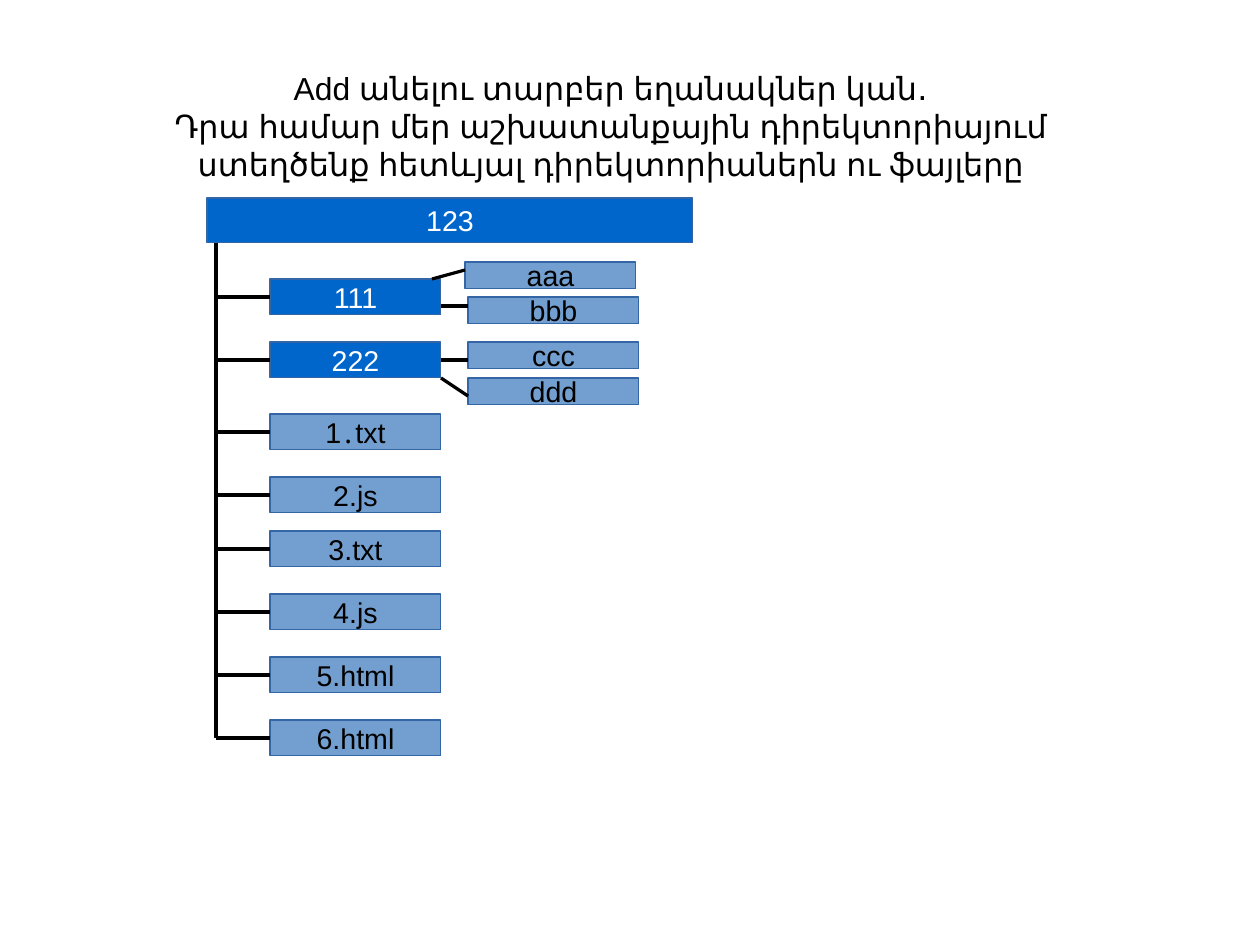
from pptx import Presentation
from pptx import util as u
from pptx.dml.color import RGBColor
from pptx.enum import shapes, text
from pptx.oxml.ns import qn
from lxml import etree

PX = 8000  # EMU in one px
THEME = dict(font="Arial", title=20, label=18, folder="0066CC", file="729FCF",
             edge="3465A4", ink="000000", light="FFFFFF")

prs = Presentation()
prs.slide_width, prs.slide_height = 1260 * PX, 945 * PX
s = prs.slides.add_slide(prs.slide_layouts[6])


def write(p, words, size, color):
    p.alignment = text.PP_ALIGN.CENTER
    r = p.add_run()
    r.text = words
    for key, value in dict(name=THEME["font"], size=u.Pt(size)).items():
        setattr(r.font, key, value)
    r.font.color.rgb = RGBColor.from_string(color)


def add_line(x1, y1, x2, y2):
    c = s.shapes.add_connector(shapes.MSO_CONNECTOR.STRAIGHT,
                               x1 * PX, y1 * PX, x2 * PX, y2 * PX)
    c.line.color.rgb = RGBColor.from_string(THEME["ink"])
    c.line.width = 0
    etree.SubElement(c._element.spPr, qn("a:effectLst"))
    return c


# Title
tf = s.shapes.add_textbox(126 * PX, 69 * PX, 970 * PX, 116 * PX).text_frame
for key, value in dict(word_wrap=True, vertical_anchor=text.MSO_ANCHOR.TOP,
                       margin_left=0, margin_right=0,
                       margin_top=0, margin_bottom=0).items():
    setattr(tf, key, value)
write(tf.paragraphs[0], "Add անելու տարբեր եղանակներ կան․", THEME["title"], THEME["ink"])
write(tf.add_paragraph(),
      "Դրա համար մեր աշխատանքային դիրեկտորիայում ստեղծենք հետևյալ "
      "դիրեկտորիաներն ու ֆայլերը", THEME["title"], THEME["ink"])

# Boxes: the root, its children in a column, and the files in the folders
TRUNK, CHILD_X, CHILD_W, CHILD_H = 216, 270, 171, 36
children = {"111": 279, "222": 342, "1․txt": 414, "2.js": 477,
            "3.txt": 531, "4.js": 594, "5.html": 657, "6.html": 720}
folders = ("123", "111", "222")
boxes = [("123", 207, 198, 486, 45)]
boxes += [(name, CHILD_X, y, CHILD_W, CHILD_H) for name, y in children.items()]
boxes += [(name, x, y, CHILD_W, 27) for name, x, y in (
    ("aaa", 465, 262), ("bbb", 468, 297), ("ccc", 468, 342), ("ddd", 468, 378))]

placed = {}
for name, x, y, w, h in boxes:
    sp = s.shapes.add_shape(shapes.MSO_SHAPE.RECTANGLE, x * PX, y * PX, w * PX, h * PX)
    is_folder = name in folders
    sp.shadow.inherit = False
    sp.fill.solid()
    sp.fill.fore_color.rgb = RGBColor.from_string(THEME["folder" if is_folder else "file"])
    sp.line.color.rgb = RGBColor.from_string(THEME["edge"])
    sp.line.width = 0
    tf = sp.text_frame
    tf.word_wrap = False
    tf.vertical_anchor = text.MSO_ANCHOR.MIDDLE
    write(tf.paragraphs[0], name, THEME["label"], THEME["light" if is_folder else "ink"])
    placed[name] = sp

# Trunk and a branch to each child
add_line(TRUNK, 243, TRUNK, 738)
for name, y in children.items():
    middle = y + CHILD_H // 2
    add_line(TRUNK, middle, CHILD_X, middle).end_connect(placed[name], 1)

# Lines from the folders to their files
for ends in ((432, 279, 465, 270), (441, 306, 468, 306), (441, 378, 468, 396)):
    add_line(*ends)
add_line(441, 360, 468, 360).begin_connect(placed["222"], 3)

prs.save("out.pptx")
